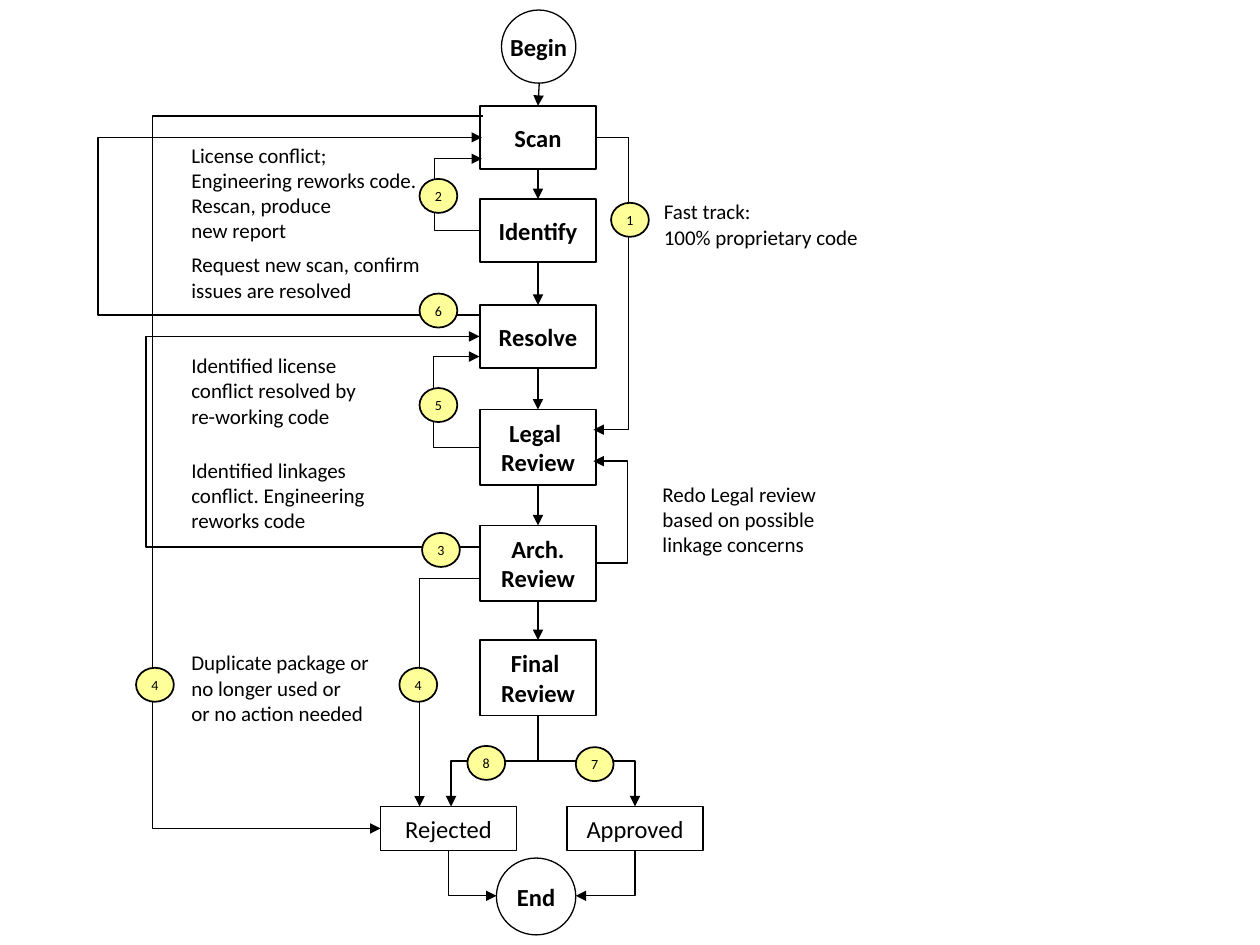
from lxml import etree
from pptx import Presentation
from pptx.dml.color import RGBColor
from pptx.enum.shapes import MSO_CONNECTOR, MSO_SHAPE
from pptx.enum.text import MSO_ANCHOR, MSO_AUTO_SIZE, PP_ALIGN
from pptx.oxml.ns import qn
from pptx.util import Inches, Pt

RECTANGLE, OVAL = MSO_SHAPE.RECTANGLE, MSO_SHAPE.OVAL
STRAIGHT, ELBOW = MSO_CONNECTOR.STRAIGHT, MSO_CONNECTOR.ELBOW
CENTER, LEFT, MIDDLE = PP_ALIGN.CENTER, PP_ALIGN.LEFT, MSO_ANCHOR.MIDDLE
FIT_SHAPE = MSO_AUTO_SIZE.SHAPE_TO_FIT_TEXT

BLACK = RGBColor(0x00, 0x00, 0x00)
WHITE = RGBColor(0xFF, 0xFF, 0xFF)
YELLOW = RGBColor(0xFF, 0xFF, 0x99)
FONT = "Calibri"

COLUMNS, ROWS = 100, 75
SLIDE_WIDTH, SLIDE_HEIGHT = Inches(10), Inches(7.5)
TOP, BOTTOM = 0, 2

STAGE_LEFT, STAGE_WIDTH = 38.1, 9.2
STAGE_RIGHT = STAGE_LEFT + STAGE_WIDTH
STAGE_CENTER = STAGE_LEFT + STAGE_WIDTH / 2
STAGES = [
    ("Scan", 8.4, 5),
    ("Identify", 15.8, 5),
    ("Resolve", 24.2, 5),
    ("Legal \nReview", 32.5, 6),
    ("Arch.\nReview", 41.7, 6),
    ("Final \nReview", 50.8, 6),
]
OUTCOMES = [("Rejected", 30.2), ("Approved", 45)]
OUTCOME_TOP, OUTCOME_WIDTH, OUTCOME_HEIGHT = 64, 10.8, 3.5

ROUTES = [
    ("down", (STAGE_CENTER, 56.8), (50.4, 64), 60.4),
    ("down", (STAGE_CENTER, 56.8), (35.8, 64), 60.4),
    ("down", (50.4, 67.5), (45.7, 71.1), None),
    ("down", (35.6, 67.5), (39.4, 71.1), None),
    ("right", (STAGE_RIGHT, 10.9), (47.1, 34.1), 49.9),
    ("right", (STAGE_RIGHT, 44.7), (47.1, 36.6), 49.8),
    ("left", (STAGE_LEFT, 18.3), (38.25, 12.6), 34.5),
    ("left", (STAGE_LEFT, 25), (38.25, 10.9), 7.7),
    ("left", (STAGE_LEFT, 35.5), (38.05, 28.3), 34.5),
    ("left", (STAGE_LEFT, 43.4), (38.05, 26.7), 12.2),
    ("left", (STAGE_LEFT, 45.9), (33.3, 64), None),
    ("left", (38.3, 9.2), (30.2, 65.75), 12.1),
]
BADGES = [
    ("1", 48.5, 16.1), ("2", 33.3, 14.2), ("3", 33.5, 42.3),
    ("4", 31.7, 53), ("4", 10.8, 53), ("5", 33.3, 30.8),
    ("6", 33.3, 23.3), ("7", 45.7, 59.3), ("8", 37.1, 59.2),
]
NOTES = [
    ("License conflict;\nEngineering reworks code. Rescan, produce \vnew report",
     (14.2, 10.8, 19.9, 9), True),
    ("Request new scan, confirm issues are resolved", (14.2, 19.5, 20.5, 5), True),
    ("Identified license conflict resolved by re-working code",
     (14.2, 27.5, 16.6, 7), True),
    ("Identified linkages conflict. Engineering\vreworks code",
     (14.2, 35.8, 16.3, 7), True),
    ("Duplicate package or\nno longer used or\nor no action needed",
     (14.2, 51.1, 16.2, 7), False),
    ("Fast track:\n100% proprietary code", (51.7, 15.3, 17.4, 5), False),
    ("Redo Legal review\nbased on possible\nlinkage concerns",
     (51.6, 37.7, 14.7, 7), False),
]


def across(columns):
    """Turn grid columns into a horizontal length."""
    return round(SLIDE_WIDTH * columns / COLUMNS)


def down(rows):
    """Turn grid rows into a vertical length."""
    return round(SLIDE_HEIGHT * rows / ROWS)


def place(left, top, width, height):
    """Turn a grid area into slide lengths."""
    return across(left), down(top), across(width), down(height)


def write(frame, text, size, bold=False, align=CENTER, wrap=False):
    """Fill a text frame with uniformly styled paragraphs."""
    frame.word_wrap = wrap
    frame.text = text
    for para in frame.paragraphs:
        para.alignment = align
        para.font.name = FONT
        para.font.size = Pt(size)
        para.font.bold = bold
        para.font.color.rgb = BLACK


def add_node(page, kind, text, area, size=14, bold=True, fill=None, weight=1):
    """Add an outlined shape with a centred label."""
    node = page.shapes.add_shape(kind, *place(*area))
    node.shadow.inherit = False
    if fill is None:
        node.fill.background()
    else:
        node.fill.solid()
        node.fill.fore_color.rgb = fill
    node.line.color.rgb = BLACK
    node.line.width = Pt(weight)
    node.text_frame.vertical_anchor = MIDDLE
    write(node.text_frame, text, size, bold)
    return node


def add_note(page, text, area, wrap):
    """Add a left-aligned explanation."""
    box = page.shapes.add_textbox(*place(*area))
    write(box.text_frame, text, 12, align=LEFT, wrap=wrap)
    box.text_frame.auto_size = FIT_SHAPE


def add_arrow(page, kind, start, end):
    """Add a thin black connector with a triangular head at its end."""
    arrow = page.shapes.add_connector(
        kind, across(start[0]), down(start[1]), across(end[0]), down(end[1]))
    arrow.line.color.rgb = BLACK
    arrow.line.width = Pt(0.75)
    etree.SubElement(arrow.line._get_or_add_ln(), qn("a:tailEnd"), type="triangle")
    etree.SubElement(arrow._element.spPr, qn("a:effectLst"))
    return arrow


def add_route(page, heading, start, end, bend):
    """Add an elbow arrow leaving along heading, turning at the bend or once."""
    (x1, y1), (x2, y2) = start, end
    width, height = abs(x2 - x1), abs(y2 - y1)
    if heading == "down":
        width, height = height, width
        turn, flip_h, flip_v = (90, False, False) if x2 < x1 else (270, True, False)
        origin, span = y1, y2 - y1
    else:
        leftward = heading == "left"
        turn = 180 if leftward else 0
        flip_h, flip_v = (x2 < x1) != leftward, (y2 < y1) != leftward
        origin, span = x1, x2 - x1
    left, top = (x1 + x2 - width) / 2, (y1 + y2 - height) / 2
    route = add_arrow(page, ELBOW, (left, top), (left + width, top + height))
    xfrm = route._element.spPr.find(qn("a:xfrm"))
    xfrm.set("rot", str(turn * 60000))
    xfrm.set("flipH", str(int(flip_h)))
    xfrm.set("flipV", str(int(flip_v)))
    geometry = route._element.spPr.find(qn("a:prstGeom"))
    if bend is None:
        geometry.set("prst", "bentConnector2")
    else:
        share = round((bend - origin) / span * 100000)
        etree.SubElement(geometry.find(qn("a:avLst")), qn("a:gd"),
                         name="adj1", fmla=f"val {share}")


def main():
    """Build the review workflow slide."""
    deck = Presentation()
    deck.slide_width, deck.slide_height = SLIDE_WIDTH, SLIDE_HEIGHT
    page = deck.slides.add_slide(deck.slide_layouts[6])

    add_node(page, OVAL, "Begin", (39.8, 0.8, 5.9, 5.8), fill=WHITE, weight=0.75)
    add_node(page, OVAL, "End", (39.4, 68.1, 6.3, 6.1), fill=WHITE, weight=0.75)
    stages = [add_node(page, RECTANGLE, text, (STAGE_LEFT, top, STAGE_WIDTH, height))
              for text, top, height in STAGES]
    for text, left in OUTCOMES:
        area = (left, OUTCOME_TOP, OUTCOME_WIDTH, OUTCOME_HEIGHT)
        add_node(page, RECTANGLE, text, area, bold=False)

    entry = add_arrow(page, STRAIGHT, (42.8, 6.6), (STAGE_CENTER, 8.4))
    entry.end_connect(stages[0], TOP)
    for upper, lower in zip(stages, stages[1:]):
        step = add_arrow(page, STRAIGHT, (STAGE_CENTER, 0), (STAGE_CENTER, 1))
        step.begin_connect(upper, BOTTOM)
        step.end_connect(lower, TOP)

    for route in ROUTES:
        add_route(page, *route)
    for number, left, top in BADGES:
        add_node(page, OVAL, number, (left, top, 3, 2.7), 8, False, YELLOW)
    for note in NOTES:
        add_note(page, *note)
    deck.save("out.pptx")


if __name__ == "__main__":
    main()
